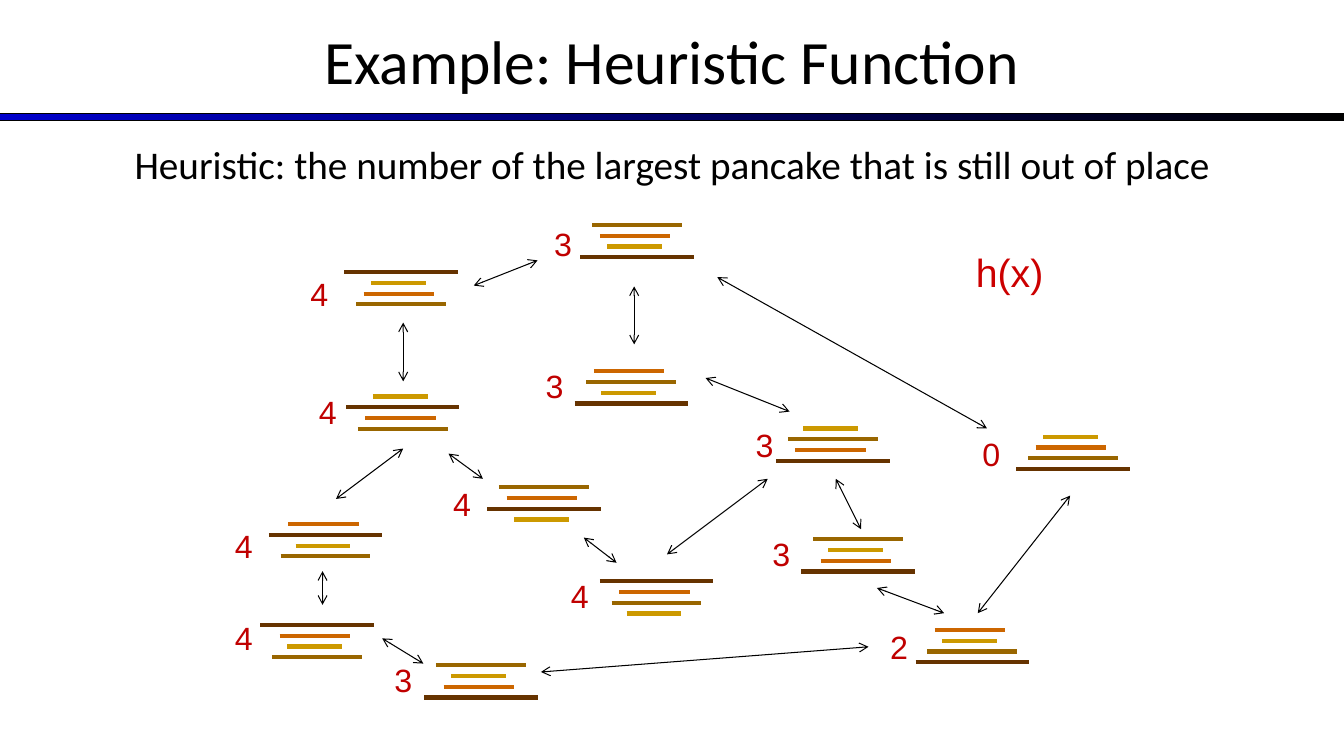
from dataclasses import dataclass

from lxml import etree
from pptx import Presentation
from pptx import util as u
from pptx.dml.color import RGBColor
from pptx.enum import shapes, text
from pptx.oxml.ns import qn


@dataclass(frozen=True)
class Theme:
    ink: str = "000000"
    bar_start: str = "0000CC"
    cost: str = "C00000"
    legend: str = "CC0000"
    heading_font: str = "Calibri"
    label_font: str = "Arial"
    title_size: float = 44
    body_size: float = 28
    cost_size: float = 23
    pancake_width: float = 3
    arrow_width: float = 0.75


theme = Theme()
presentation = Presentation()
presentation.slide_width = u.Inches(13.33)
presentation.slide_height = u.Inches(7.5)
slide = presentation.slides.add_slide(presentation.slide_layouts[5])
COLUMNS, ROWS = 160, 90
column = presentation.slide_width / COLUMNS
row = presentation.slide_height / ROWS


def add_line(x1, y1, x2, y2, color, width):
    line = slide.shapes.add_connector(
        shapes.MSO_CONNECTOR.STRAIGHT,
        round(x1 * column), round(y1 * row), round(x2 * column), round(y2 * row))
    line.line.color.rgb = RGBColor.from_string(color)
    line.line.width = u.Pt(width)
    etree.SubElement(line._element.spPr, qn("a:effectLst"))
    return line


def write_text(shape, box, words, font, size, color, align, anchor):
    x, y, width, height = box
    shape.left, shape.top = round(x * column), round(y * row)
    shape.width, shape.height = round(width * column), round(height * row)
    frame = shape.text_frame
    frame.word_wrap = True
    frame.auto_size = text.MSO_AUTO_SIZE.NONE
    frame.vertical_anchor = anchor
    frame.text = words
    paragraph = frame.paragraphs[0]
    paragraph.alignment = align
    paragraph.font.name = font
    paragraph.font.size = u.Pt(size)
    paragraph.font.color.rgb = RGBColor.from_string(color)
    return frame


LEFT, CENTER = text.PP_ALIGN.LEFT, text.PP_ALIGN.CENTER
TOP, MIDDLE = text.MSO_ANCHOR.TOP, text.MSO_ANCHOR.MIDDLE

bar = slide.shapes.add_shape(
    shapes.MSO_SHAPE.RECTANGLE, 0, round(13.5 * row),
    presentation.slide_width, round(0.9 * row))
bar.shadow.inherit = False
bar.fill.gradient()
bar.fill.gradient_angle = 0
for stop, color in zip(bar.fill.gradient_stops, (theme.bar_start, theme.ink)):
    stop.color.rgb = RGBColor.from_string(color)
bar.line.color.rgb = RGBColor.from_string(theme.ink)
bar.line.width = u.Pt(0.75)

write_text(slide.shapes.title, (0, -0.4, COLUMNS, 15), "Example: Heuristic Function",
           theme.heading_font, theme.title_size, theme.ink, CENTER, MIDDLE)

pancakes = {
    1: (3.2, 6.5, "CC9900"),
    2: (2.3, 8.4, "CC6600"),
    3: (1.4, 10.7, "996600"),
    4: (0, 13.5, "663300"),
}
PANCAKE_STEP = 1.28

stacks = [
    ((4, 1, 2, 3), (41, 32.4), "4", (36, 32)),
    ((1, 4, 2, 3), (41.2, 47.2), "4", (37, 46)),
    ((3, 2, 1, 4), (69.1, 26.8), "3", (65, 26)),
    ((2, 4, 1, 3), (32, 62.4), "4", (27, 62)),
    ((3, 2, 4, 1), (58, 58), "4", (53, 57)),
    ((1, 2, 3, 4), (121, 52), "0", (116, 51)),
    ((2, 3, 1, 4), (68.4, 44.2), "3", (64, 43)),
    ((4, 2, 3, 1), (71.4, 69.2), "4", (67, 68)),
    ((4, 2, 1, 3), (31, 74.4), "4", (27, 73)),
    ((3, 1, 2, 4), (50.5, 79.2), "3", (46, 78)),
    ((1, 3, 2, 4), (92.4, 51), "3", (89, 50)),
    ((2, 1, 3, 4), (109, 75), "2", (105, 74)),
    ((3, 1, 2, 4), (95.4, 64.2), "3", (91, 63)),
]
for order, (stack_x, stack_y), cost, (cost_x, cost_y) in stacks:
    for level, pancake in enumerate(order):
        offset, width, color = pancakes[pancake]
        x, y = stack_x + offset, stack_y + level * PANCAKE_STEP
        add_line(x, y, x + width, y, color, theme.pancake_width)
    frame = write_text(slide.shapes.add_textbox(0, 0, 0, 0), (cost_x, cost_y, 4, 5.9), cost,
                       theme.label_font, theme.cost_size, theme.cost, LEFT, MIDDLE)
    frame.margin_left, frame.margin_right = u.Inches(0.08), 0

moves = [
    (64, 31, 56.4, 34),
    (48, 45.4, 48, 38.4),
    (40, 59.4, 48, 53.4),
    (57.5, 57, 53.4, 54),
    (38.4, 72, 38.4, 68),
    (50.4, 79, 45.5, 76),
    (103.4, 77, 64.4, 80),
    (73.4, 67, 69.5, 64),
    (91.4, 57, 79.4, 66),
    (84, 45, 94, 49),
    (75.5, 34.1, 75.5, 41),
    (117.5, 51, 85.4, 33),
    (99.5, 57, 102.5, 63),
    (104.4, 70, 112.4, 73),
    (116.4, 73, 127.4, 59),
]
for move in moves:
    arrow = add_line(*move, theme.ink, theme.arrow_width)
    for end in ("a:headEnd", "a:tailEnd"):
        etree.SubElement(arrow.line._get_or_add_ln(), qn(end), type="arrow")

for words, box, font, color, align in [
    ("Heuristic: the number of the largest pancake that is still out of place",
     (0, 16.1, COLUMNS, 6.9), theme.heading_font, theme.ink, CENTER),
    ("h(x)", (115, 29, 15, 6.9), theme.label_font, theme.legend, LEFT),
]:
    write_text(slide.shapes.add_textbox(0, 0, 0, 0), box, words,
               font, theme.body_size, color, align, TOP)

presentation.save("out.pptx")
